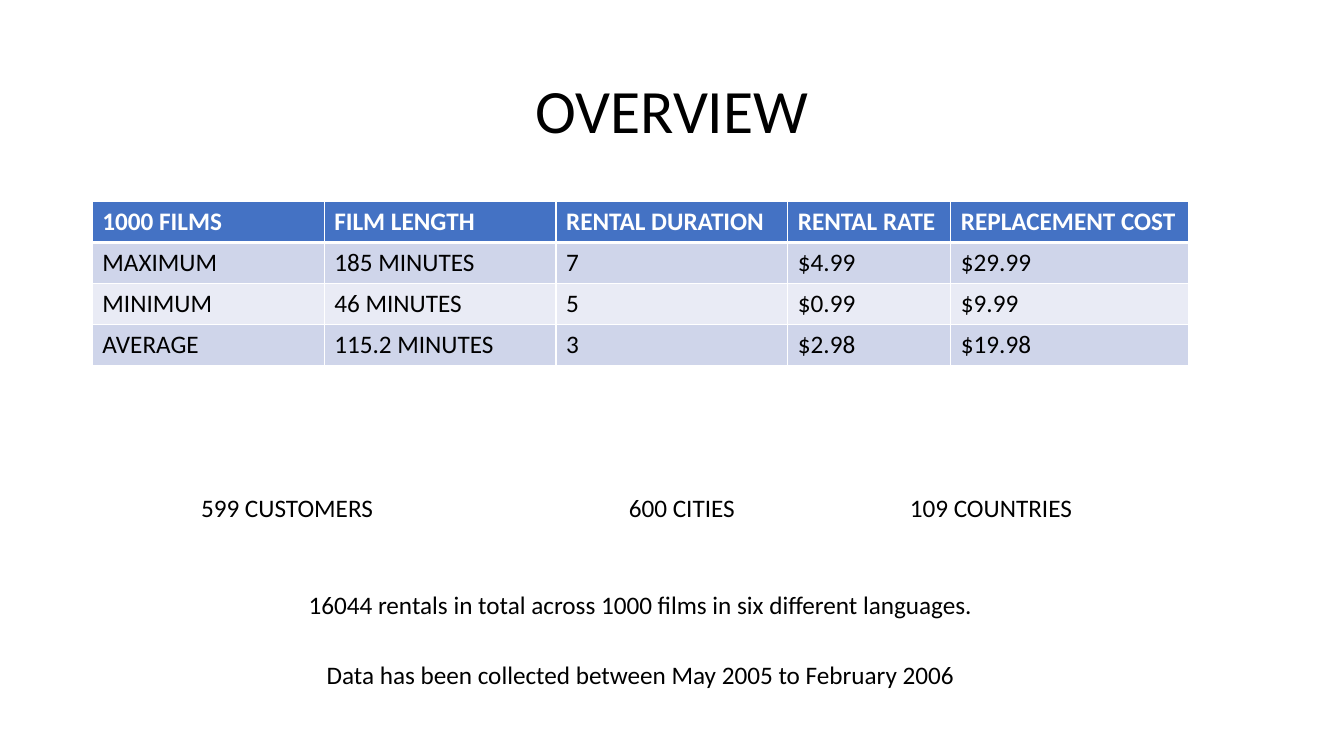
from pptx import Presentation
from pptx.dml.color import RGBColor
from pptx.enum.text import MSO_ANCHOR as Anchor, MSO_AUTO_SIZE as AutoSize, PP_ALIGN as Align
from pptx.oxml.ns import qn
from pptx.util import Inches, Pt
from lxml.etree import SubElement

FILM_STATS = [
    ["1000 FILMS", "FILM LENGTH", "RENTAL DURATION", "RENTAL RATE", "REPLACEMENT COST"],
    ["MAXIMUM", "185 MINUTES", "7", "$4.99", "$29.99"],
    ["MINIMUM", "46 MINUTES", "5", "$0.99", "$9.99"],
    ["AVERAGE", "115.2 MINUTES", "3", "$2.98", "$19.98"],
]
STAT_COLUMNS = [27.6, 27.6, 27.6, 19.4, 28.3]
REACH = {"599 CUSTOMERS": 22.6, "600 CITIES": 69.6, "109 COUNTRIES": 106.4}
SUMMARY = {
    69.6: "16044 rentals in total across 1000 films in six different languages.",
    77.9: "Data has been collected between May 2005 to February 2006",
}


def color(value):
    """Turn a hex string into a colour."""
    return RGBColor.from_string(value)


def grid(units):
    """Turn columns or rows of the 160 by 90 grid into a length."""
    return Inches(units / 12)


class OverviewSlide:
    """Style and drawing methods for the current slide."""

    font, ink, paper = "Calibri", "000000", "FFFFFF"
    header, bands = "4472C4", ("E9EBF5", "CFD5EA")
    body_size, title_size = 18, 44
    row_height, line_height = 4.87, 4.85

    def __init__(self, deck):
        """Add a title-only slide to the deck."""
        self.slide = deck.slides.add_slide(deck.slide_layouts[5])

    def set_text(self, frame, text, size, ink=None, bold=False, align=Align.LEFT):
        """Fill a text frame with one styled paragraph."""
        frame.text = text
        paragraph = frame.paragraphs[0]
        paragraph.alignment = align
        for run in paragraph.runs:
            run.font.name, run.font.size, run.font.bold = self.font, Pt(size), bold
            run.font.color.rgb = color(ink or self.ink)
        return paragraph

    def title(self, text, left, top, width, height):
        """Place and style the title placeholder."""
        heading = self.slide.shapes.title
        heading.left, heading.top = grid(left), grid(top)
        heading.width, heading.height = grid(width), grid(height)
        frame = heading.text_frame
        frame.vertical_anchor = Anchor.MIDDLE
        self.set_text(frame, text, self.title_size, align=Align.CENTER).line_spacing = 0.9

    def line(self, text, left, top, width, align=Align.CENTER):
        """Add a one-line text box and return its paragraph."""
        box = self.slide.shapes.add_textbox(
            grid(left), grid(top), grid(width), grid(self.line_height))
        frame = box.text_frame
        frame.word_wrap, frame.auto_size = True, AutoSize.SHAPE_TO_FIT_TEXT
        return self.set_text(frame, text, self.body_size, align=align)

    def tabbed_line(self, centers, left, top, width):
        """Add a line whose items are centred on tab stops."""
        text = "".join("\t" + item for item in centers)
        paragraph = self.line(text, left, top, width, Align.LEFT)
        stops = SubElement(paragraph._p.get_or_add_pPr(), qn("a:tabLst"))
        for center in centers.values():
            SubElement(stops, qn("a:tab"), pos=str(grid(center)), algn="ctr")

    def border(self, cell, **widths):
        """Draw cell borders, given as side and width in points."""
        for side, width in widths.items():
            edge = SubElement(cell._tc.get_or_add_tcPr(), qn("a:ln" + side), w=str(Pt(width)))
            fill = SubElement(edge, qn("a:solidFill"))
            SubElement(fill, qn("a:srgbClr"), val=self.paper)

    def table(self, rows, columns, left, top):
        """Add a banded table with a header row."""
        table = self.slide.shapes.add_table(
            len(rows), len(columns), grid(left), grid(top),
            grid(sum(columns)), grid(self.row_height * len(rows))).table
        for column, width in zip(table.columns, columns):
            column.width = grid(width)
        for r, values in enumerate(rows):
            is_header = r == 0
            for c, value in enumerate(values):
                cell = table.cell(r, c)
                self.border(cell, L=1, R=1, T=3 if r == 1 else 1, B=3 if is_header else 1)
                cell.fill.solid()
                cell.fill.fore_color.rgb = color(self.header if is_header else self.bands[r % 2])
                self.set_text(cell.text_frame, value, self.body_size,
                              self.paper if is_header else self.ink, is_header)


def main():
    """Build the overview slide and save it."""
    deck = Presentation()
    deck.slide_width, deck.slide_height = grid(160), grid(90)
    overview = OverviewSlide(deck)
    overview.title("OVERVIEW", 11, 4.8, 138, 17.4)
    overview.table(FILM_STATS, STAT_COLUMNS, 11, 24)
    overview.tabbed_line(REACH, 10.4, 58, 131)
    for top, sentence in SUMMARY.items():
        overview.line(sentence, 11, top, 130.5)
    deck.save("out.pptx")


if __name__ == "__main__":
    main()
